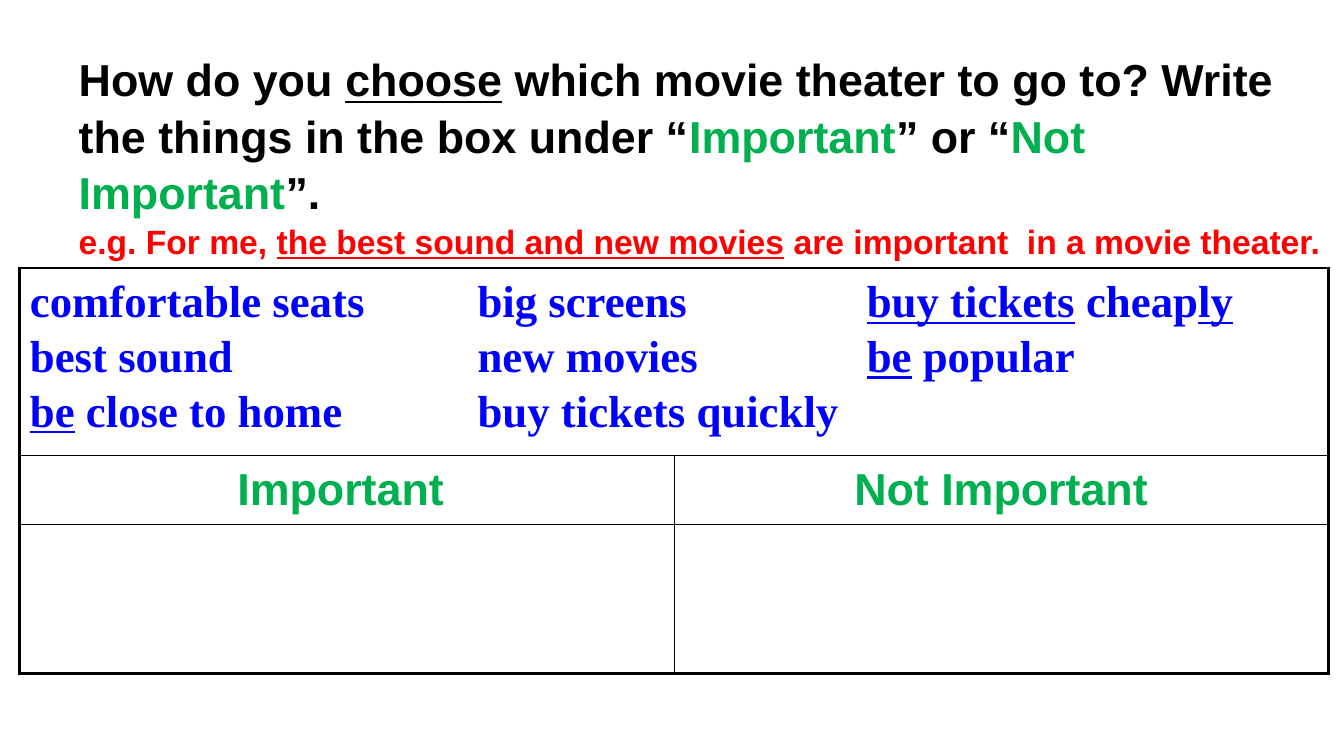
from dataclasses import dataclass

from lxml import etree
from pptx import Presentation
from pptx.dml.color import RGBColor
from pptx.enum.text import MSO_ANCHOR, MSO_AUTO_SIZE, PP_ALIGN
from pptx.oxml.ns import qn
from pptx.util import Cm, Pt

LEFT, CENTER = PP_ALIGN.LEFT, PP_ALIGN.CENTER
TOP, NO_FIT = MSO_ANCHOR.TOP, MSO_AUTO_SIZE.NONE


@dataclass(frozen=True)
class Theme:
    sans: str = "Arial"
    serif: str = "Times New Roman"
    black: str = "000000"
    green: str = "00B050"
    red: str = "FF0000"
    blue: str = "0000FF"
    large: int = 32
    small: int = 24
    title_spacing: float = 1.05
    table_spacing: float = 1.1
    outer_line: float = 2.25
    inner_line: float = 1


T = Theme()

# Each run is (text, colour, underlined).
QUESTION = [
    ("How do you ", T.black, False),
    ("choose", T.black, True),
    (" which movie theater to go to? Write the things in the box under “", T.black, False),
    ("Important", T.green, False),
    ("” or “", T.black, False),
    ("Not Important", T.green, False),
    ("”.", T.black, False),
]
EXAMPLE = [
    ("e.g. For me, ", T.red, False),
    ("the best sound and new movies", T.red, True),
    (" are important  in a movie theater.", T.red, False),
]
# Each line holds phrases; each phrase is a list of (text, underlined).
WORD_BANK = [
    [[("comfortable seats", False)], [("big screens", False)],
     [("buy tickets", True), (" cheap", False), ("ly", True)]],
    [[("best sound", False)], [("new movies", False)],
     [("be", True), (" popular", False)]],
    [[("be", True), (" close to home", False)], [("buy tickets quickly", False)]],
]
HEADINGS = ["Important ", "Not Important"]

TITLE_BOX = Cm(1.73), Cm(1.12), Cm(31.98), Cm(4.19)
TABLE_LEFT, TABLE_TOP = Cm(0.5), Cm(6.75)
COLUMN_WIDTH = Cm(16.49)
ROW_HEIGHTS = [Cm(4.72), Cm(1.75), Cm(3.75)]
PHRASE_TABS = [Cm(11.28), Cm(21.09)]


def add_run(p, text, color, underline=False, size=T.large, font=T.sans):
    r = p.add_run()
    r.text = text
    r.font.name, r.font.size = font, Pt(size)
    r.font.bold, r.font.underline = True, underline
    r.font.color.rgb = RGBColor.from_string(color)


def add_paragraph(tf, first, align=LEFT, spacing=T.table_spacing):
    p = tf.paragraphs[0] if first else tf.add_paragraph()
    p.alignment, p.line_spacing = align, spacing
    p.space_before = Pt(0)
    return p


def add_tabs(p, positions):
    tabs = etree.SubElement(p._p.get_or_add_pPr(), qn("a:tabLst"))
    for position in positions:
        etree.SubElement(tabs, qn("a:tab"), pos=str(position), algn="l")


def set_borders(cell, widths):
    """Draw black borders; widths maps sides (L, R, T, B) to points."""
    tcPr = cell._tc.get_or_add_tcPr()
    for side, width in widths.items():
        line = etree.SubElement(tcPr, qn(f"a:ln{side}"), w=str(Pt(width)))
        fill = etree.SubElement(line, qn("a:solidFill"))
        etree.SubElement(fill, qn("a:srgbClr"), val=T.black)


def add_title(s):
    sp = s.shapes.title
    sp.left, sp.top, sp.width, sp.height = TITLE_BOX
    tf = sp.text_frame
    tf.word_wrap, tf.auto_size, tf.vertical_anchor = True, NO_FIT, TOP
    for i, (runs, size) in enumerate([(QUESTION, T.large), (EXAMPLE, T.small)]):
        p = add_paragraph(tf, i == 0, spacing=T.title_spacing)
        for text, color, underline in runs:
            add_run(p, text, color, underline, size)


def fill_word_bank(tf):
    for i, phrases in enumerate(WORD_BANK):
        p = add_paragraph(tf, i == 0)
        add_tabs(p, PHRASE_TABS)
        for j, phrase in enumerate(phrases):
            if j:
                add_run(p, "\t", T.blue, font=T.serif)
            for text, underline in phrase:
                add_run(p, text, T.blue, underline, font=T.serif)


def add_sorting_table(s):
    rows, cols = len(ROW_HEIGHTS), len(HEADINGS)
    table = s.shapes.add_table(rows, cols, TABLE_LEFT, TABLE_TOP,
                               COLUMN_WIDTH * cols, sum(ROW_HEIGHTS)).table
    table.first_row = table.horz_banding = False
    for column in table.columns:
        column.width = COLUMN_WIDTH
    for row, height in zip(table.rows, ROW_HEIGHTS):
        row.height = height
    table.cell(0, 0).merge(table.cell(0, cols - 1))

    for r in range(rows):
        for c in range(cols):
            cell = table.cell(r, c)
            outer = {
                "L": c == 0,
                "R": c == cols - 1 or cell.is_merge_origin,
                "T": r == 0,
                "B": r == rows - 1,
            }
            if cell.is_spanned:
                del outer["L"]
            set_borders(cell, {side: T.outer_line if edge else T.inner_line
                               for side, edge in outer.items()})
            cell.fill.background()

    fill_word_bank(table.cell(0, 0).text_frame)
    for c, heading in enumerate(HEADINGS):
        p = add_paragraph(table.cell(1, c).text_frame, True, CENTER)
        add_run(p, heading, T.green)


def main():
    prs = Presentation()
    prs.slide_width, prs.slide_height = Cm(33.87), Cm(19.05)
    s = prs.slides.add_slide(prs.slide_layouts[5])
    add_title(s)
    add_sorting_table(s)
    prs.save("out.pptx")


if __name__ == "__main__":
    main()
